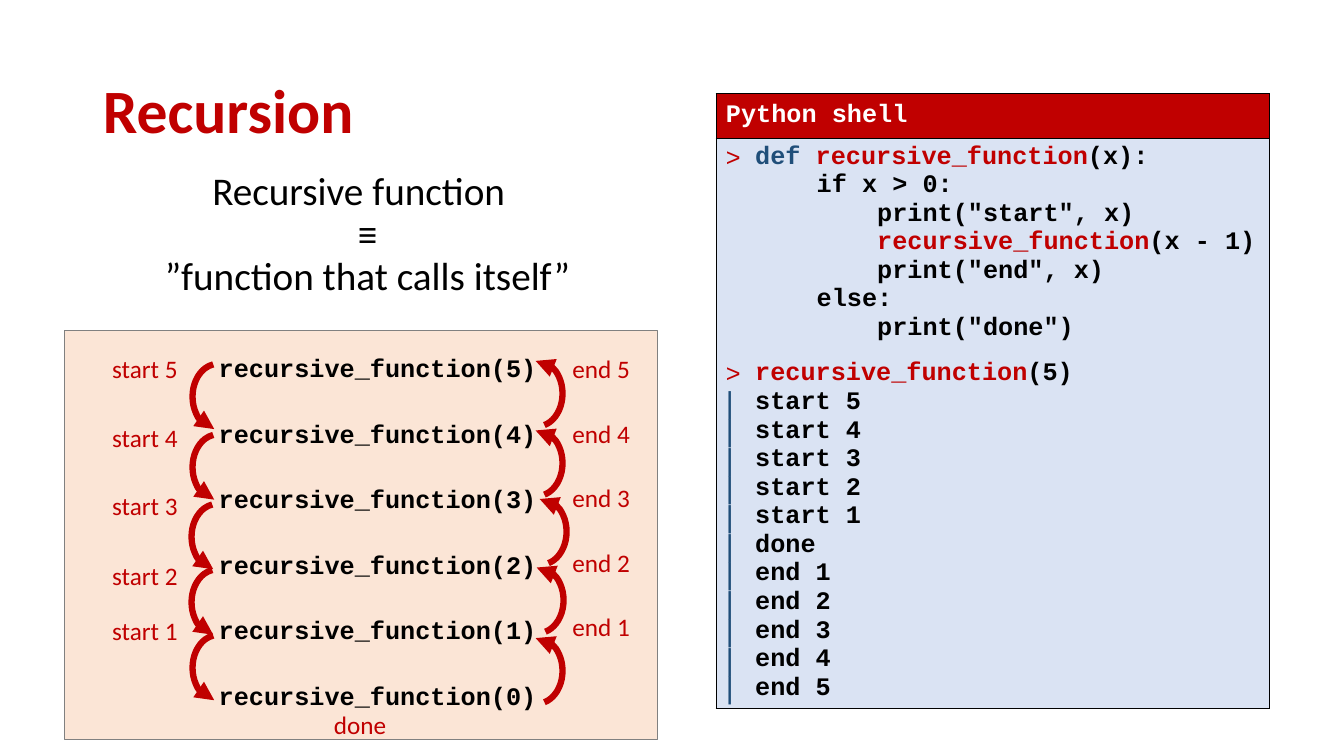
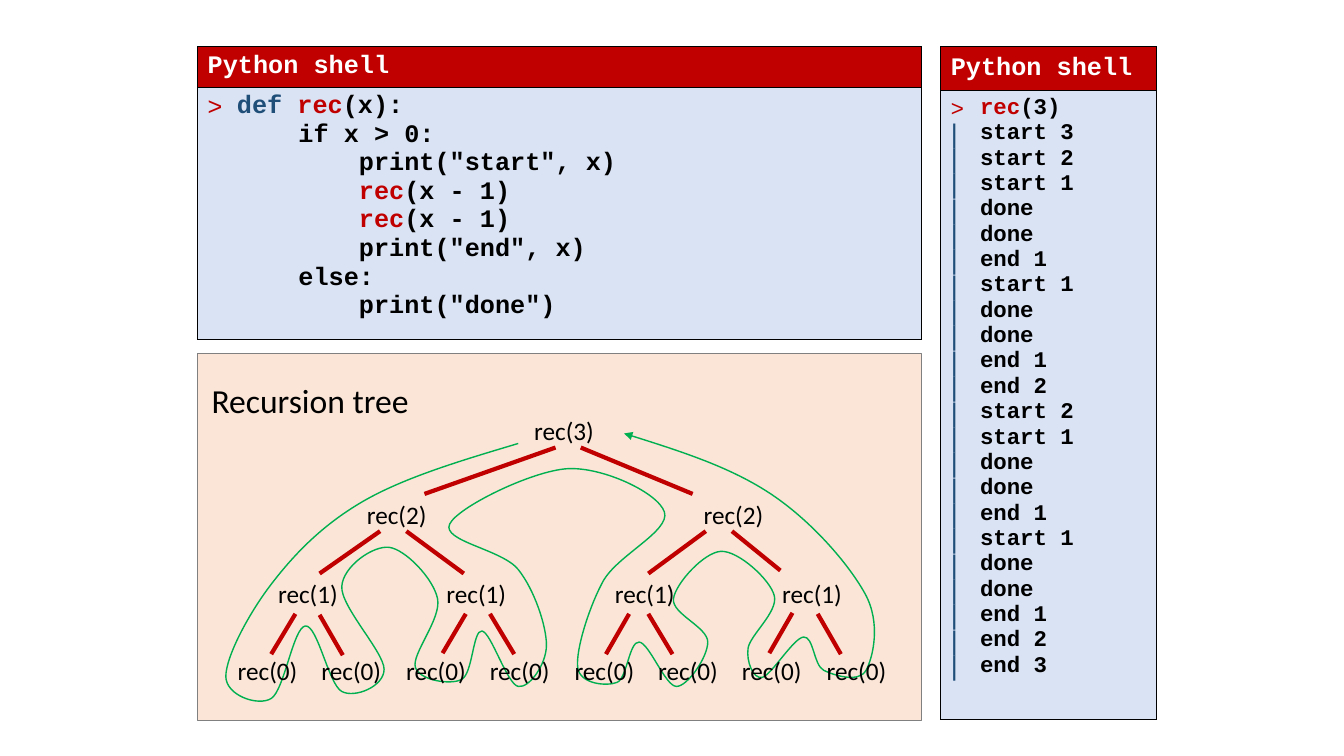
from dataclasses import dataclass
from typing import NamedTuple

import lxml.etree
import pptx
import pptx.dml.color
import pptx.enum.shapes
import pptx.enum.text
import pptx.oxml.ns
import pptx.util

EMU_PER_PX = 9144  # 100 px to the inch
RED, BLUE, GREEN = "C00000", "1F4E79", "00B050"
BLACK, WHITE, GREY = "000000", "FFFFFF", "808080"
PEACH, PALE_BLUE = "FBE5D6", "DAE3F3"
SANS, MONO, BULLET_FONT = "Calibri", "Courier New", "Arial"
HANGING = 29
ALIGN = pptx.enum.text.PP_ALIGN
SHAPE = pptx.enum.shapes.MSO_SHAPE
qn = pptx.oxml.ns.qn


class Box(NamedTuple):
    left: int
    top: int
    width: int
    height: int


class Point(NamedTuple):
    x: float
    y: float


class Edge(NamedTuple):
    parent: Point
    child: Point


@dataclass
class CodeLine:
    text: str
    marker: str = ""
    space_after: int = 0


@dataclass
class Shell:
    box: Box
    header_height: int
    function: str
    lines: list[CodeLine]
    size: int = 18


@dataclass
class Call:
    """One level of the call chain, with the arrows down from and back up to it."""
    argument: int
    start_top: int
    down: Point
    up: Point


@dataclass
class TreeLevel:
    argument: int
    count: int
    left: int
    top: int


CALLS = [
    Call(5, 346, Point(191, 361), Point(508, 358)),
    Call(4, 414, Point(191, 431), Point(508, 427)),
    Call(3, 482, Point(190, 500), Point(512, 495)),
    Call(2, 551, Point(190, 565), Point(509, 563)),
    Call(1, 606, Point(191, 630), Point(508, 633)),
]
DOWN_ANGLES, UP_ANGLES = (57.683, 157.256), (160.235, 46.416)

TREE_WIDTH = 667
TREE = [TreeLevel(3, 1, 520, 407), TreeLevel(2, 2, 354, 490),
        TreeLevel(1, 4, 266, 569), TreeLevel(0, 8, 226, 645)]
EDGES = [Edge(Point(*parent), Point(*child)) for parent, child in [
    ((551, 444), (421, 490)), ((576, 444), (687, 490)),
    ((377, 527), (317, 569)), ((403, 527), (460, 569)),
    ((700, 527), (643, 569)), ((726, 527), (774, 566)),
    ((293, 609), (269, 649)), ((317, 610), (340, 650)),
    ((462, 609), (439, 648)), ((486, 609), (510, 649)),
    ((624, 609), (601, 649)), ((643, 609), (667, 649)),
    ((786, 608), (763, 648)), ((811, 609), (834, 649)),
]]
WALK = [Point(*stop) for stop in [
    (514, 440), (359, 498), (268, 581), (224, 671), (269, 693), (303, 621),
    (339, 686), (381, 664), (339, 582), (386, 543), (434, 594), (412, 662),
    (458, 674), (478, 626), (514, 681), (542, 640), (514, 565), (446, 520),
    (563, 465), (659, 508), (598, 577), (573, 662), (612, 677), (634, 637),
    (671, 681), (702, 637), (668, 594), (715, 547), (768, 591), (742, 643),
    (756, 672), (797, 632), (817, 665), (859, 665), (858, 589), (766, 491),
    (619, 430),
]]


def px(length: float) -> pptx.util.Emu:
    return pptx.util.Emu(round(length * EMU_PER_PX))


def emu(box: Box) -> list[pptx.util.Emu]:
    return [px(length) for length in box]


def rgb(colour: str) -> pptx.dml.color.RGBColor:
    return pptx.dml.color.RGBColor.from_string(colour)


def set_font(font, name: str, size: int, colour: str, bold: bool = False) -> None:
    font.name, font.size, font.bold = name, pptx.util.Pt(size), bold
    font.color.rgb = rgb(colour)


def set_line(shape, colour: str, width: float) -> None:
    shape.line.color.rgb = rgb(colour)
    shape.line.width = pptx.util.Pt(width)


def add_arrowhead(shape, end: str) -> None:
    line = shape.element.spPr.find(qn("a:ln"))
    lxml.etree.SubElement(line, qn(f"a:{end}"), type="triangle")


def add_label(slide, text: str, box: Box, colour: str = BLACK, align=ALIGN.LEFT,
              font: str = SANS, size: int = 18, bold: bool = False) -> None:
    frame = slide.shapes.add_textbox(*emu(box)).text_frame
    frame.word_wrap = True
    paragraph = frame.paragraphs[0]
    paragraph.text, paragraph.alignment = text, align
    set_font(paragraph.font, font, size, colour, bold)


def add_backdrop(slide, box: Box) -> None:
    backdrop = slide.shapes.add_shape(SHAPE.RECTANGLE, *emu(box))
    backdrop.shadow.inherit = False
    backdrop.fill.solid()
    backdrop.fill.fore_color.rgb = rgb(PEACH)
    set_line(backdrop, GREY, 1)


def add_call_arrow(slide, corner: Point, angles: tuple[float, float]) -> None:
    arc = slide.shapes.add_shape(SHAPE.ARC, *emu(Box(*corner, 50, 65)))
    arc.adjustments[0], arc.adjustments[1] = angles
    arc.shadow.inherit = False
    arc.fill.background()
    set_line(arc, RED, 4.5)
    add_arrowhead(arc, "headEnd")


def fill_placeholder(placeholder, text: str, box: Box, align, size: int,
                     colour: str, bold: bool = False) -> None:
    placeholder.left, placeholder.top, placeholder.width, placeholder.height = emu(box)
    frame = placeholder.text_frame
    frame.auto_size = pptx.enum.text.MSO_AUTO_SIZE.NONE
    frame.vertical_anchor = pptx.enum.text.MSO_ANCHOR.MIDDLE
    paragraph = frame.paragraphs[0]
    paragraph.text, paragraph.alignment = text, align
    paragraph.line_spacing, paragraph.space_before = 0.9, pptx.util.Pt(0)
    properties = paragraph._p.get_or_add_pPr()
    properties.set("marL", "0")
    properties.set("indent", "0")
    lxml.etree.SubElement(properties, qn("a:buNone"))
    set_font(paragraph.font, SANS, size, colour, bold)


def trace(depth: int, branches: int) -> list[str]:
    """Lines printed by the recursive function shown on the slides."""
    if depth == 0:
        return ["done"]
    return [f"start {depth}", *trace(depth - 1, branches) * branches, f"end {depth}"]


def definition(function: str, branches: int) -> list[CodeLine]:
    return [
        CodeLine(f"def {function}(x):", ">"),
        CodeLine("      if x > 0:"),
        CodeLine('          print("start", x)'),
        *[CodeLine(f"          {function}(x - 1)")] * branches,
        CodeLine('          print("end", x)'),
        CodeLine("      else:"),
        CodeLine('          print("done")', space_after=12),
    ]


def session(function: str, depth: int, branches: int) -> list[CodeLine]:
    return [CodeLine(f"{function}({depth})", ">"),
            *[CodeLine(text, "|") for text in trace(depth, branches)]]


def add_marker(paragraph, marker: str) -> None:
    properties = paragraph._p.get_or_add_pPr()
    properties.set("marL", str(px(HANGING)))
    properties.set("indent", str(px(-HANGING)))
    colour = lxml.etree.SubElement(properties, qn("a:buClr"))
    lxml.etree.SubElement(colour, qn("a:srgbClr"), val=RED if marker == ">" else BLUE)
    if marker == "|":
        lxml.etree.SubElement(properties, qn("a:buSzPct"), val="120000")
    lxml.etree.SubElement(properties, qn("a:buFont"), typeface=BULLET_FONT)
    lxml.etree.SubElement(properties, qn("a:buChar"), char=marker)


def write_code(paragraph, line: CodeLine, function: str, size: int) -> None:
    if line.marker:
        add_marker(paragraph, line.marker)
    if line.space_after:
        paragraph.space_after = pptx.util.Pt(line.space_after)
    set_font(paragraph.font, MONO, size, BLACK, True)
    before, name, after = line.text.partition(function)
    before_colour = BLUE if before.startswith("def") else BLACK
    for text, colour in ((before, before_colour), (name, RED), (after, BLACK)):
        if text:
            run = paragraph.add_run()
            run.text = text
            run.font.color.rgb = rgb(colour)


def style_cell(cell, colour: str) -> None:
    cell.fill.solid()
    cell.fill.fore_color.rgb = rgb(colour)
    properties = cell._tc.get_or_add_tcPr()
    for position, side in enumerate(("lnL", "lnR", "lnT", "lnB")):
        border = lxml.etree.Element(qn(f"a:{side}"), w=str(pptx.util.Pt(0.5)))
        fill = lxml.etree.SubElement(border, qn("a:solidFill"))
        lxml.etree.SubElement(fill, qn("a:srgbClr"), val=BLACK)
        properties.insert(position, border)


def add_shell(slide, shell: Shell) -> None:
    table = slide.shapes.add_table(2, 1, *emu(shell.box)).table
    table.first_row = table.horz_banding = False
    table.rows[0].height = px(shell.header_height)
    table.rows[1].height = px(shell.box.height - shell.header_height)
    header, body = table.cell(0, 0), table.cell(1, 0)
    style_cell(header, RED)
    style_cell(body, PALE_BLUE)
    header.vertical_anchor = pptx.enum.text.MSO_ANCHOR.MIDDLE
    heading = header.text_frame.paragraphs[0]
    heading.text = "Python shell"
    set_font(heading.font, MONO, 18, WHITE, True)
    frame = body.text_frame
    for number, line in enumerate(shell.lines):
        paragraph = frame.add_paragraph() if number else frame.paragraphs[0]
        write_code(paragraph, line, shell.function, shell.size)


def curve_points(stops: list[Point]) -> list[Point]:
    """Two controls and an end for each cubic piece of a smooth curve through the stops."""
    def handle(i: int, sign: int) -> Point:
        before, stop, after = stops[i - 1:i + 2]
        return Point(stop.x + sign * (after.x - before.x) / 6,
                     stop.y + sign * (after.y - before.y) / 6)

    def middle(a: Point, b: Point) -> Point:
        return Point((a.x + b.x) / 2, (a.y + b.y) / 2)

    last = len(stops) - 1
    points = []
    for i in range(last):
        leaving = handle(i, 1) if i else middle(stops[0], handle(1, -1))
        arriving = handle(i + 1, -1) if i + 1 < last else middle(leaving, stops[last])
        points += [leaving, arriving, stops[i + 1]]
    return points


def add_walk(slide) -> None:
    builder = slide.shapes.build_freeform(*WALK[0], scale=float(EMU_PER_PX))
    builder.add_line_segments(curve_points(WALK), close=False)
    walk = builder.convert_to_shape()
    outline = next(walk.element.iter(qn("a:path")))
    segments = outline.findall(qn("a:lnTo"))
    for first in range(0, len(segments), 3):
        curve = lxml.etree.SubElement(outline, qn("a:cubicBezTo"))
        for segment in segments[first:first + 3]:
            curve.append(segment[0])
            outline.remove(segment)
    walk.shadow.inherit = False
    walk.fill.background()
    set_line(walk, GREEN, 1)
    add_arrowhead(walk, "tailEnd")


def add_edge(slide, edge: Edge) -> None:
    branch = slide.shapes.add_connector(
        pptx.enum.shapes.MSO_CONNECTOR.STRAIGHT,
        *[px(length) for length in (*edge.parent, *edge.child)])
    set_line(branch, RED, 3)
    lxml.etree.SubElement(branch.element.spPr, qn("a:effectLst"))


def build_recursion(slide) -> None:
    add_backdrop(slide, Box(64, 328, 588, 406))
    title, body = slide.placeholders
    fill_placeholder(title, "Recursion", Box(92, 40, 1150, 145), ALIGN.LEFT, 44, RED, True)
    fill_placeholder(body, "Recursive function  \v≡\v”function that calls itself”",
                     Box(95, 156, 539, 155), ALIGN.CENTER, 28, BLACK)
    function = "recursive_function"
    add_shell(slide, Shell(Box(710, 93, 549, 610), 44, function,
                           definition(function, 1) + session(function, 5, 1)))
    for depth in range(6):
        add_label(slide, f"{function}({5 - depth})", Box(203, 345 + 65 * depth, 343, 40),
                  align=ALIGN.CENTER, font=MONO, bold=True)
    for depth, call in enumerate(CALLS):
        add_call_arrow(slide, call.down, DOWN_ANGLES)
        add_call_arrow(slide, call.up, UP_ANGLES)
        add_label(slide, f"start {call.argument}", Box(86, call.start_top, 100, 40),
                  RED, ALIGN.RIGHT)
        add_label(slide, f"end {call.argument}", Box(558, 346 + 64 * depth, 100, 40), RED)
    add_label(slide, "done", Box(293, 699, 100, 40), RED, ALIGN.RIGHT)


def build_recursion_tree(slide) -> None:
    add_backdrop(slide, Box(196, 351, 718, 364))
    add_walk(slide)
    for level in TREE:
        for node in range(level.count):
            left = round(level.left + node * TREE_WIDTH / level.count)
            add_label(slide, f"rec({level.argument})", Box(left, level.top, 86, 41))
    for edge in EDGES:
        add_edge(slide, edge)
    add_shell(slide, Shell(Box(196, 46, 718, 290), 41, "rec", definition("rec", 2)))
    add_shell(slide, Shell(Box(933, 46, 214, 668), 44, "rec", session("rec", 3, 2), 16))
    add_label(slide, "Recursion tree", Box(200, 372, 233, 50), size=24)


def main() -> None:
    deck = pptx.Presentation()
    deck.slide_width, deck.slide_height = px(1333), px(750)
    build_recursion(deck.slides.add_slide(deck.slide_layouts[1]))
    build_recursion_tree(deck.slides.add_slide(deck.slide_layouts[6]))
    deck.save("out.pptx")


if __name__ == "__main__":
    main()
